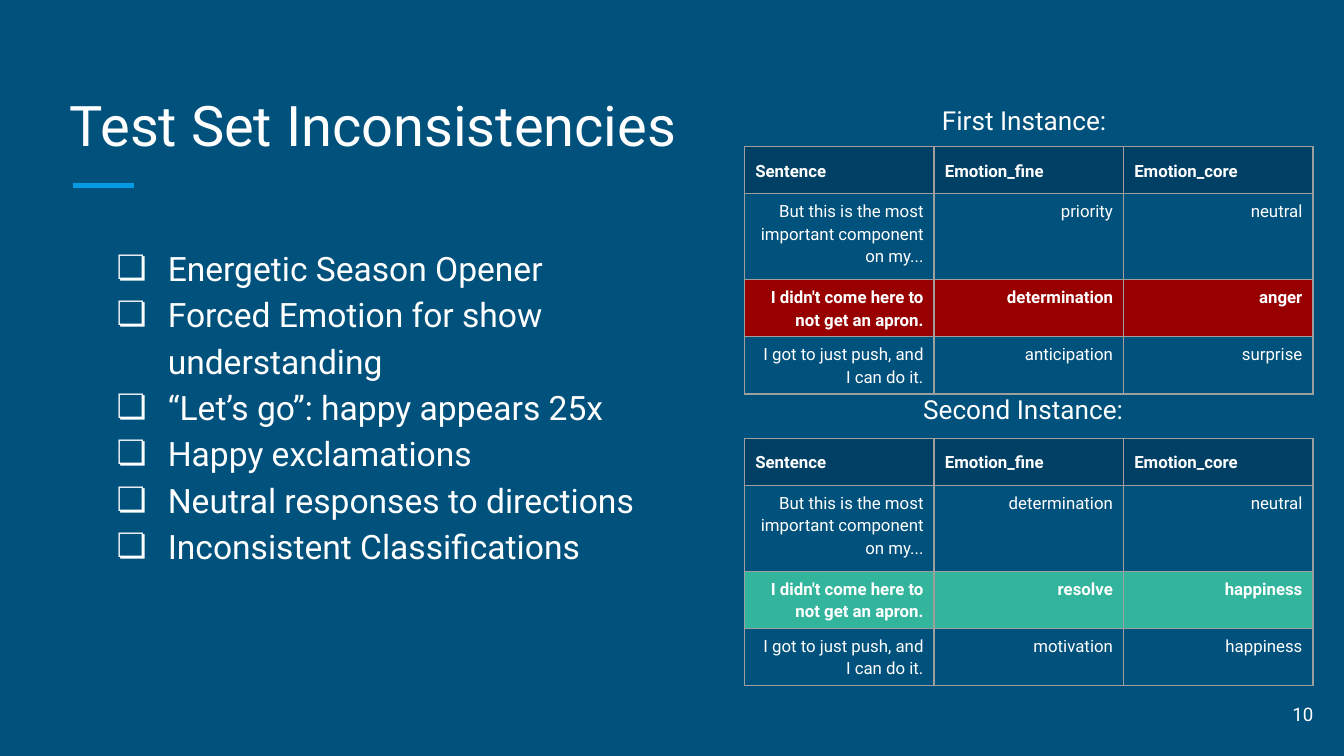
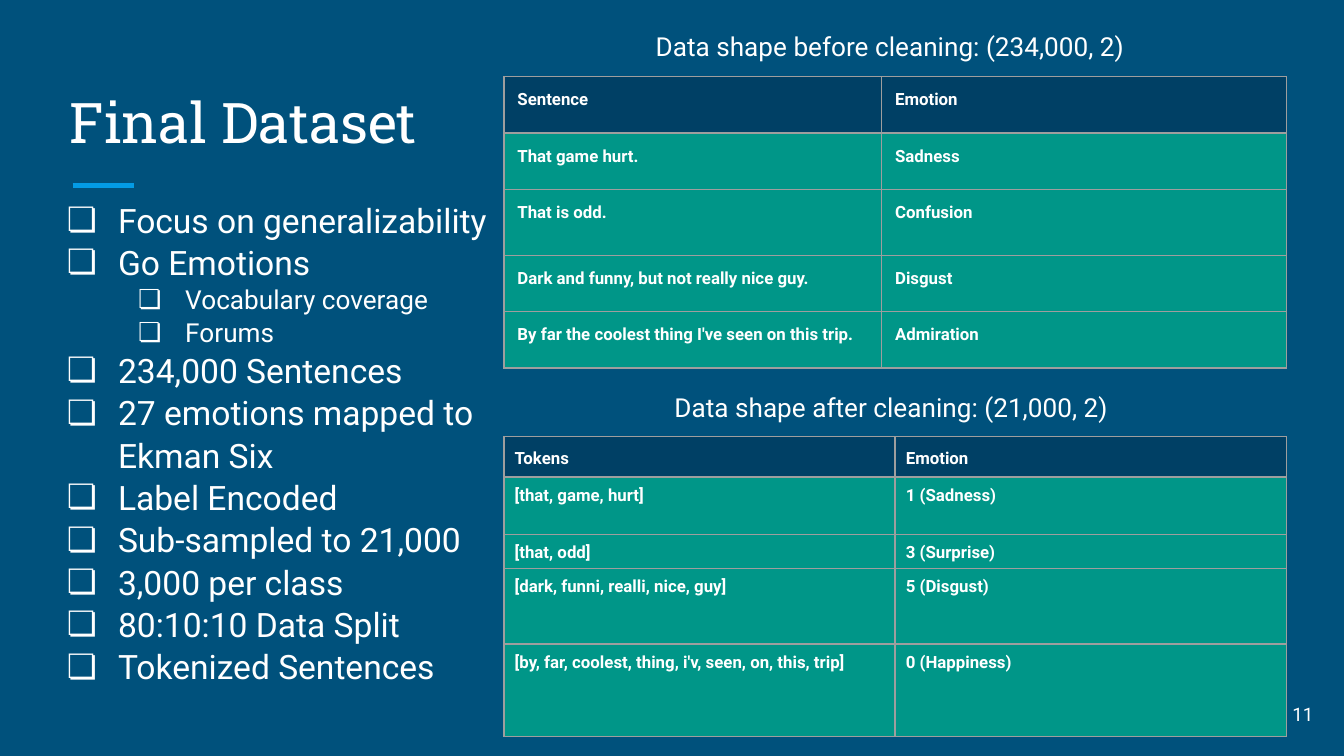
from lxml import etree
from pptx import Presentation
from pptx.dml.color import RGBColor
from pptx.enum.shapes import MSO_CONNECTOR
from pptx.enum.text import MSO_ANCHOR, PP_ALIGN
from pptx.oxml.ns import qn
from pptx.util import Inches, Pt

STRAIGHT = MSO_CONNECTOR.STRAIGHT
TOP, MIDDLE, BOTTOM = MSO_ANCHOR.TOP, MSO_ANCHOR.MIDDLE, MSO_ANCHOR.BOTTOM
LEFT, RIGHT = PP_ALIGN.LEFT, PP_ALIGN.RIGHT

BACKGROUND, ACCENT, WHITE = "00517C", "039BE5", "FFFFFF"
HEADER, BORDER = "004065", "9E9E9E"
RED, MINT, TEAL = "980000", "33B49D", "009688"
BODY_FONT, SLAB_FONT = "Roboto", "Roboto Slab"
BULLET = "❏"
BULLET_LEVELS = [
    {"size": 18, "margin": 0.5, "hanging": 0.38},
    {"size": 14, "margin": 1, "hanging": 0.35},
]
TIGHT_CELL = {"margins": (0.08, 0.04), "spacing": 1.15, "header_anchor": MIDDLE}
ROOMY_CELL = {"margins": (0.1, 0.1), "spacing": 1.0, "header_anchor": TOP}

INCONSISTENCIES = [
    (0, "Energetic Season Opener"),
    (0, "Forced Emotion for show understanding"),
    (0, "“Let’s go”: happy appears 25x"),
    (0, "Happy exclamations"),
    (0, "Neutral responses to directions"),
    (0, "Inconsistent Classifications"),
]
DATASET_POINTS = [
    (0, "Focus on generalizability"),
    (0, "Go Emotions"),
    (1, "Vocabulary coverage"),
    (1, "Forums"),
    (0, "234,000 Sentences"),
    (0, "27 emotions mapped to Ekman Six"),
    (0, "Label Encoded"),
    (0, "Sub-sampled to 21,000"),
    (0, "3,000 per class"),
    (0, "80:10:10 Data Split"),
    (0, "Tokenized Sentences"),
]
INSTANCE_HEADER = ["Sentence", "Emotion_fine", "Emotion_core"]
INSTANCE_SENTENCES = [
    "But this is the most important component on my...",
    "I didn't come here to not get an apron.",
    "I got to just push, and I can do it.",
]
FIRST_EMOTIONS = [
    ("priority", "neutral"), ("determination", "anger"), ("anticipation", "surprise"),
]
SECOND_EMOTIONS = [
    ("determination", "neutral"), ("resolve", "happiness"), ("motivation", "happiness"),
]
BEFORE_CLEANING = [
    ("Sentence", "Emotion"),
    ("That game hurt.", "Sadness"),
    ("That is odd.", "Confusion"),
    ("Dark and funny, but not really nice guy.", "Disgust"),
    ("By far the coolest thing I've seen on this trip.", "Admiration"),
]
AFTER_CLEANING = [
    ("Tokens", "Emotion"),
    ("[that, game, hurt]", "1 (Sadness)"),
    ("[that, odd]", "3 (Surprise)"),
    ("[dark, funni, realli, nice, guy]", "5 (Disgust)"),
    ("[by, far, coolest, thing, i'v, seen, on, this, trip]", "0 (Happiness)"),
]


def color(value):
    return RGBColor.from_string(value)


def apply_format(target, values):
    for name, value in values.items():
        setattr(target, name, value)


def set_margins(target, horizontal, vertical):
    apply_format(target, {
        "margin_left": Inches(horizontal), "margin_right": Inches(horizontal),
        "margin_top": Inches(vertical), "margin_bottom": Inches(vertical),
    })


def write(paragraph, text, size, font=BODY_FONT, bold=False, align=LEFT, spacing=1.0):
    run = paragraph.add_run()
    run.text = text
    apply_format(run.font, {"size": Pt(size), "name": font, "bold": bold})
    run.font.color.rgb = color(WHITE)
    apply_format(paragraph, {"alignment": align, "line_spacing": spacing})


def add_frame(slide, box, anchor=TOP, wrap=True):
    frame = slide.shapes.add_textbox(*map(Inches, box)).text_frame
    apply_format(frame, {"word_wrap": wrap, "vertical_anchor": anchor})
    set_margins(frame, 0.1, 0.1)
    return frame


def add_text(slide, box, text, size, anchor=TOP, wrap=True, **style):
    frame = add_frame(slide, box, anchor, wrap)
    write(frame.paragraphs[0], text, size, **style)


def add_caption(slide, box, text):
    add_text(slide, box, text, 14, wrap=False)


def set_bullet(paragraph, margin, hanging):
    properties = paragraph._p.get_or_add_pPr()
    properties.set("marL", str(Inches(margin)))
    properties.set("indent", str(-Inches(hanging)))
    bullet_color = etree.SubElement(properties, qn("a:buClr"))
    etree.SubElement(bullet_color, qn("a:srgbClr"), val=WHITE)
    etree.SubElement(properties, qn("a:buFont"), typeface=BODY_FONT)
    etree.SubElement(properties, qn("a:buChar"), char=BULLET)


def add_bullets(slide, box, points, spacing):
    frame = add_frame(slide, box)
    for index, (level, text) in enumerate(points):
        paragraph = frame.add_paragraph() if index else frame.paragraphs[0]
        style = BULLET_LEVELS[level]
        paragraph.level = level
        set_bullet(paragraph, style["margin"], style["hanging"])
        write(paragraph, text, style["size"], spacing=spacing)


def set_borders(cell):
    properties = cell._tc.get_or_add_tcPr()
    for side in ("a:lnL", "a:lnR", "a:lnT", "a:lnB"):
        line = etree.SubElement(properties, qn(side), w=str(Pt(0.75)))
        fill = etree.SubElement(line, qn("a:solidFill"))
        etree.SubElement(fill, qn("a:srgbClr"), val=BORDER)


def add_table(slide, left, top, widths, heights, rows, fills, cell_style,
              bold_rows, body_align=LEFT):
    box = (left, top, sum(widths), sum(heights))
    table = slide.shapes.add_table(len(rows), len(widths), *map(Inches, box)).table
    apply_format(table, {"first_row": False, "horz_banding": False})
    for column, width in zip(table.columns, widths):
        column.width = Inches(width)
    for row_index, (row, height, fill) in enumerate(zip(rows, heights, fills)):
        table.rows[row_index].height = Inches(height)
        is_header = row_index == 0
        for column_index, text in enumerate(row):
            cell = table.cell(row_index, column_index)
            set_margins(cell, *cell_style["margins"])
            cell.vertical_anchor = cell_style["header_anchor"] if is_header else TOP
            set_borders(cell)
            if fill:
                cell.fill.solid()
                cell.fill.fore_color.rgb = color(fill)
            else:
                cell.fill.background()
            write(cell.text_frame.paragraphs[0], text, 9, bold=row_index in bold_rows,
                  align=LEFT if is_header else body_align,
                  spacing=cell_style["spacing"])


def add_instance_table(slide, top, emotions, highlight):
    rows = [INSTANCE_HEADER]
    rows += [(sentence, *pair) for sentence, pair in zip(INSTANCE_SENTENCES, emotions)]
    add_table(slide, 5.54, top, [1.41] * 3, [0.35, 0.64, 0.42, 0.42], rows,
              [HEADER, None, highlight, None], TIGHT_CELL, {0, 2}, RIGHT)


def add_dataset_table(slide, top, widths, heights, rows, cell_style):
    fills = [HEADER] + [TEAL] * (len(rows) - 1)
    add_table(slide, 3.75, top, widths, heights, rows, fills, cell_style,
              range(len(rows)))


def add_base_slide(presentation, title, title_box, title_font, number):
    slide = presentation.slides.add_slide(presentation.slide_layouts[6])
    slide.background.fill.solid()
    slide.background.fill.fore_color.rgb = color(BACKGROUND)
    ends = map(Inches, (0.54, 1.38, 1, 1.38))
    rule = slide.shapes.add_connector(STRAIGHT, *ends)
    rule.line.color.rgb = color(ACCENT)
    rule.line.width = Pt(3)
    etree.SubElement(rule._element.spPr, qn("a:effectLst"))
    add_text(slide, title_box, title, 30, anchor=BOTTOM, font=title_font)
    add_text(slide, (9.27, 5.1, 0.6, 0.43), str(number), 10, anchor=MIDDLE, align=RIGHT)
    return slide


def build_inconsistencies(presentation):
    slide = add_base_slide(presentation, "Test Set Inconsistencies",
                           (0.42, 0.52, 9.15, 0.75), BODY_FONT, 10)
    add_bullets(slide, (0.65, 1.7, 4.58, 3.37), INCONSISTENCIES, 1.15)
    add_instance_table(slide, 1.09, FIRST_EMOTIONS, RED)
    add_instance_table(slide, 3.26, SECOND_EMOTIONS, MINT)
    add_caption(slide, (6.91, 0.68, 1.47, 0.44), "First Instance:")
    add_caption(slide, (6.77, 2.83, 1.75, 0.44), "Second Instance:")


def build_final_dataset(presentation):
    slide = add_base_slide(presentation, "Final Dataset",
                           (0.42, 0.5, 3.41, 0.75), SLAB_FONT, 11)
    add_bullets(slide, (0.28, 1.37, 3.55, 4.12), DATASET_POINTS, 1.05)
    add_dataset_table(slide, 0.57, [2.81, 3.01], [0.42, 0.42, 0.49, 0.42, 0.42],
                      BEFORE_CLEANING, ROOMY_CELL)
    add_dataset_table(slide, 3.25, [2.91, 2.91], [0.3, 0.43, 0.25, 0.56, 0.69],
                      AFTER_CLEANING, TIGHT_CELL)
    add_caption(slide, (4.78, 0.13, 3.75, 0.44),
                "Data shape before cleaning: (234,000, 2)")
    add_caption(slide, (4.92, 2.81, 3.47, 0.44),
                "Data shape after cleaning: (21,000, 2)")


def main():
    presentation = Presentation()
    presentation.slide_width = Inches(10)
    presentation.slide_height = Inches(10 * 9 / 16)
    build_inconsistencies(presentation)
    build_final_dataset(presentation)
    presentation.save("out.pptx")


if __name__ == "__main__":
    main()
